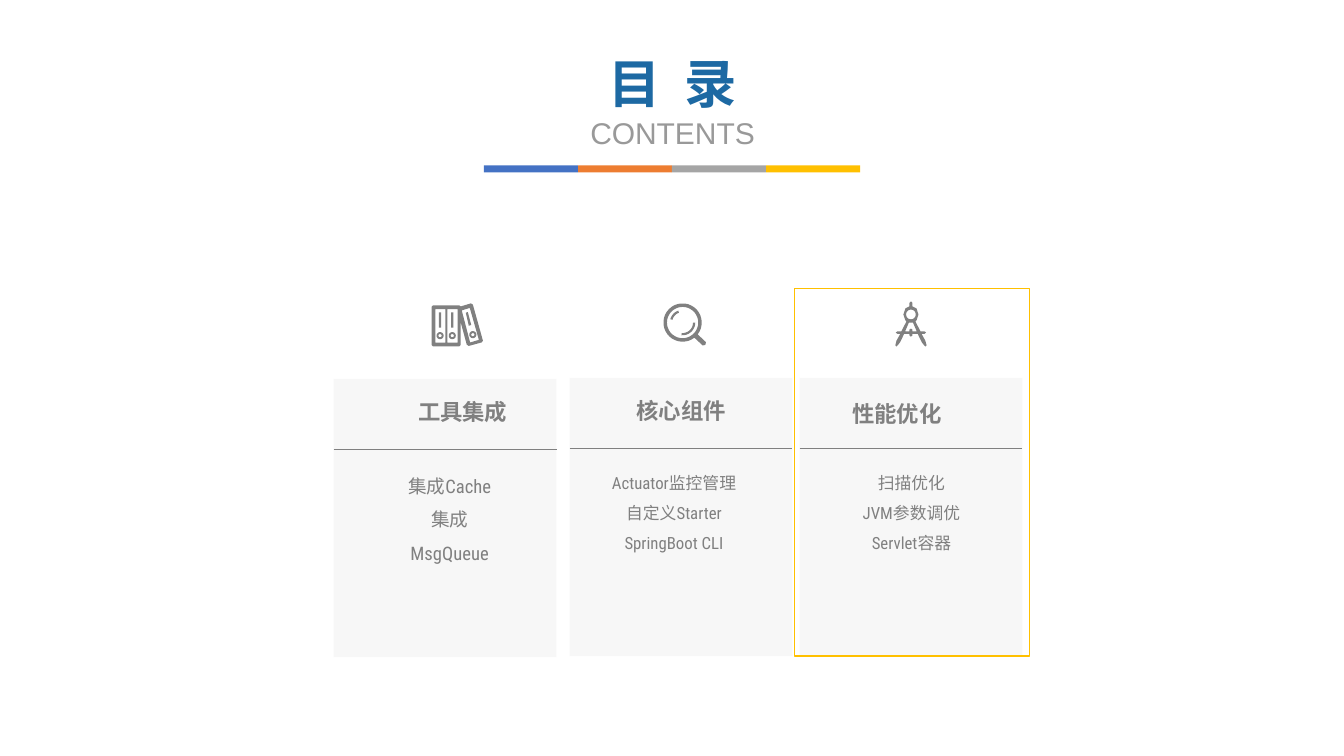
from dataclasses import dataclass
from math import cos, radians, sin

from lxml.etree import SubElement
from pptx import Presentation
from pptx.dml.color import RGBColor
from pptx.enum.shapes import MSO_CONNECTOR, MSO_SHAPE
from pptx.enum.text import MSO_ANCHOR, MSO_AUTO_SIZE, PP_ALIGN
from pptx.oxml.ns import qn
from pptx.util import Pt

PX = 9144  # EMU, 100 px to the inch
ICON_UNIT = PX / 10  # icon outlines are drawn in tenths of a px


@dataclass(frozen=True)
class Theme:
    title: str = "1D69A3"
    subtitle: str = "999999"
    ink: str = "808080"
    panel: str = "D9D9D9"
    highlight: str = "FFC000"
    stripes: tuple = ("4472C4", "ED7D31", "A5A5A5", "FFC000")
    font: str = "Roboto Condensed"
    subtitle_font: str = "Arial"
    title_size: float = 37.4
    subtitle_size: float = 21.4
    heading_size: float = 16
    body_size: float = 12
    large_body_size: float = 13.3


THEME = Theme()


def arc(x, y, radius, start=0, end=360):
    """Points along a circle, angles in degrees clockwise from the right."""
    steps = max(6, abs(end - start) // 10)
    angles = [radians(start + (end - start) * i / steps) for i in range(steps + 1)]
    return [(round(x + radius * cos(a)), round(y + radius * sin(a))) for a in angles]


def band(x, y, outer, inner, start, end):
    return arc(x, y, outer, start, end) + arc(x, y, inner, end, start)


def box(left, top, right, bottom):
    return [(left, top), (right, top), (right, bottom), (left, bottom)]


def mirrored(right_half, axis=155):
    return right_half + [(2 * axis - x, y) for x, y in reversed(right_half)]


BINDERS = [
    [(0, 35), (15, 20), (275, 20), (290, 30), (390, 0), (410, 12), (510, 370),
     (498, 387), (370, 422), (350, 410), (290, 190), (290, 412), (275, 427),
     (15, 427), (0, 412)],
    box(38, 58, 138, 390), box(158, 58, 258, 390),
    [(300, 70), (380, 45), (470, 362), (383, 388)],
    box(72, 90, 96, 240), box(194, 90, 218, 240),
    [(340, 92), (360, 86), (394, 214), (370, 222)],
] + [arc(x, y, radius) for x, y in [(85, 320), (206, 320), (410, 310)]
     for radius in (35, 16)]

MAGNIFIER = [
    arc(190, 190, 190, 52, 398) + [(422, 385), (415, 412), (390, 417)],
    arc(190, 190, 155),
    band(190, 190, 126, 104, 195, 250),
    band(190, 190, 126, 104, 0, 95),
]

COMPASSES = [
    mirrored([(155, 0), (170, 15), (170, 50), (210, 70), (230, 130), (212, 185),
              (200, 200), (250, 298), (290, 298), (305, 310), (290, 322),
              (260, 322), (298, 390), (310, 435), (300, 448), (285, 435),
              (262, 405), (222, 322), (170, 322), (170, 338), (155, 350)]),
    arc(155, 130, 48),
    mirrored([(155, 212), (175, 210), (213, 298), (170, 298), (170, 280), (155, 270)]),
]

TITLE = ("目  录", "CONTENTS")
TITLE_BOX = (559, 46, 216, 109)
STRIPE_LEFT, STRIPE_TOP, STRIPE_SPAN, STRIPE_HEIGHT = 480, 164, 373, 7
PANEL_WIDTH, PANEL_HEIGHT, DIVIDER_DROP = 221, 276, 70
FRAME_BOX = (788, 286, 233, 365)

CARDS = [
    dict(panel=(331, 376), icon=BINDERS, icon_at=(428, 301),
         heading="工具集成", heading_box=(376, 390, 166, 37),
         lines=["集成Cache", "集成MsgQueue"], body_box=(382, 455, 128, 111),
         size=THEME.large_body_size),
    dict(panel=(565, 375), icon=MAGNIFIER, icon_at=(658, 301),
         heading="核心组件", heading_box=(621, 389, 109, 37),
         lines=["Actuator监控管理", "自定义Starter", "SpringBoot CLI"],
         body_box=(548, 454, 241, 131), size=THEME.body_size),
    dict(panel=(793, 375), icon=COMPASSES, icon_at=(888, 299),
         heading="性能优化", heading_box=(835, 392, 109, 37),
         lines=["扫描优化", "JVM参数调优", "Servlet容器"],
         body_box=(793, 454, 222, 101), size=THEME.body_size),
]


def emu(*lengths):
    return [round(length * PX) for length in lengths]


def rgb(color):
    return RGBColor.from_string(color)


def paint(shape, fill=None, opacity=None, line=None):
    shape.shadow.inherit = False
    if fill:
        shape.fill.solid()
        shape.fill.fore_color.rgb = rgb(fill)
    else:
        shape.fill.background()
    if opacity:
        color = shape.fill._xPr.find(".//" + qn("a:srgbClr"))
        SubElement(color, qn("a:alpha"), val=str(opacity * 1000))
    if line:
        shape.line.color.rgb = rgb(line)
        shape.line.width = Pt(1)
    else:
        shape.line.fill.background()


def add_rectangle(slide, bounds, **look):
    paint(slide.shapes.add_shape(MSO_SHAPE.RECTANGLE, *emu(*bounds)), **look)


def add_divider(slide, left, y):
    line = slide.shapes.add_connector(
        MSO_CONNECTOR.STRAIGHT, *emu(left, y, left + PANEL_WIDTH, y))
    line.line.color.rgb = rgb(THEME.ink)
    line.line.width = Pt(0.5)
    SubElement(line._element.spPr, qn("a:effectLst"))


def add_icon(slide, contours, position):
    first, *others = contours
    builder = slide.shapes.build_freeform(*first[0], scale=ICON_UNIT)
    builder.add_line_segments(first[1:], close=True)
    for contour in others:
        builder.move_to(*contour[0])
        builder.add_line_segments(contour[1:], close=True)
    paint(builder.convert_to_shape(*emu(*position)), fill=THEME.ink)


def write(frame, lines, wrap=True, spacing=None):
    """Fill a text frame with (text, font format) lines, all centred."""
    settings = dict(word_wrap=wrap, auto_size=MSO_AUTO_SIZE.NONE,
                    vertical_anchor=MSO_ANCHOR.TOP)
    for name, value in settings.items():
        setattr(frame, name, value)
    for index, (text, style) in enumerate(lines):
        paragraph = frame.add_paragraph() if index else frame.paragraphs[0]
        paragraph.alignment = PP_ALIGN.CENTER
        paragraph.line_spacing = spacing
        run = paragraph.add_run()
        run.text = text
        run.font.color.rgb = rgb(style["color"])
        for name in ("name", "size", "bold"):
            setattr(run.font, name, style[name])
        properties = run._r.get_or_add_rPr()
        properties.set("lang", "zh-CN")
        SubElement(properties, qn("a:ea"), typeface=style["name"])


def style(size, color=THEME.ink, bold=False, name=THEME.font):
    return dict(size=Pt(size), color=color, bold=bold, name=name)


def add_title(slide):
    title = slide.shapes.title
    for name, value in zip(("left", "top", "width", "height"), emu(*TITLE_BOX)):
        setattr(title, name, value)
    styles = (style(THEME.title_size, THEME.title, True),
              style(THEME.subtitle_size, THEME.subtitle, name=THEME.subtitle_font))
    write(title.text_frame, zip(TITLE, styles))


def add_stripes(slide):
    count = len(THEME.stripes)
    edges = [STRIPE_LEFT + STRIPE_SPAN * i / count for i in range(count + 1)]
    for left, right, color in zip(edges, edges[1:], THEME.stripes):
        add_rectangle(slide, (left, STRIPE_TOP, right - left, STRIPE_HEIGHT), fill=color)


def add_card(slide, card):
    left, top = card["panel"]
    add_rectangle(slide, (left, top, PANEL_WIDTH, PANEL_HEIGHT),
                  fill=THEME.panel, opacity=20)
    add_divider(slide, left, top + DIVIDER_DROP)
    add_icon(slide, card["icon"], card["icon_at"])
    heading = slide.shapes.add_textbox(*emu(*card["heading_box"]))
    write(heading.text_frame,
          [(card["heading"], style(THEME.heading_size, bold=True))], wrap=False)
    body = slide.shapes.add_textbox(*emu(*card["body_box"]))
    write(body.text_frame,
          [(line, style(card["size"])) for line in card["lines"]], spacing=1.5)


def main():
    presentation = Presentation()
    presentation.slide_width, presentation.slide_height = emu(1333, 750)
    slide = presentation.slides.add_slide(presentation.slide_layouts[5])
    add_title(slide)
    add_stripes(slide)
    for card in CARDS:
        add_card(slide, card)
    add_rectangle(slide, FRAME_BOX, line=THEME.highlight)
    presentation.save("out.pptx")


if __name__ == "__main__":
    main()
